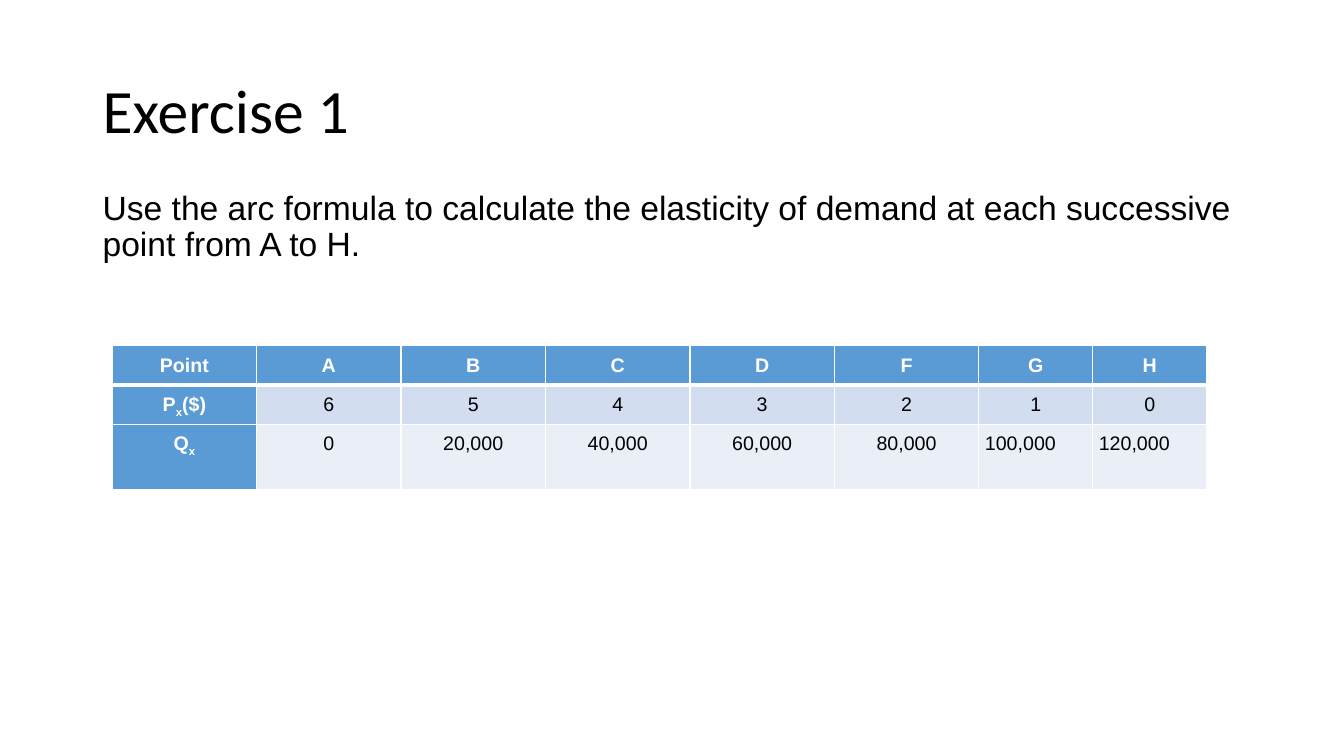
from dataclasses import dataclass

from lxml import etree
from pptx import Presentation
from pptx import util as u
from pptx.dml import color
from pptx.enum import text
from pptx.oxml import ns


@dataclass(frozen=True)
class Theme:
    title_font: str = "Calibri"
    body_font: str = "Arial"
    title_size: float = 44
    body_size: float = 24
    table_size: float = 14
    ink: str = "000000"
    white: str = "FFFFFF"
    header: str = "5B9BD5"
    bands: tuple[str, ...] = ("D2DEEF", "EAEFF7")
    thin_border: float = 1
    thick_border: float = 3


@dataclass(frozen=True)
class RunStyle:
    font: str
    size: float
    colour: str
    bold: bool = False


@dataclass(frozen=True)
class TextBlock:
    words: str
    top: float
    height: float
    style: RunStyle
    anchor: text.MSO_ANCHOR


@dataclass(frozen=True)
class DemandRow:
    label: tuple[str, ...]
    values: tuple[str, ...]
    height: float


THEME = Theme()
SUBSCRIPT = "x"
BLOCK_LEFT, BLOCK_WIDTH = 66.24, 828
TABLE_LEFT, TABLE_TOP = 80.1, 247
COLUMN_WIDTHS = [103.2] * 6 + [81.4] * 2

TEXT_BLOCKS = (
    TextBlock("Exercise 1", 28.8, 104.4,
              RunStyle(THEME.title_font, THEME.title_size, THEME.ink),
              text.MSO_ANCHOR.MIDDLE),
    TextBlock("Use the arc formula to calculate the elasticity of demand "
              "at each successive point from A to H.", 133.2, 353.5,
              RunStyle(THEME.body_font, THEME.body_size, THEME.ink),
              text.MSO_ANCHOR.TOP),
)

DEMAND_ROWS = (
    DemandRow(("Point",), ("A", "B", "C", "D", "F", "G", "H"), 28.08),
    DemandRow(("P", SUBSCRIPT, "($)"), ("6", "5", "4", "3", "2", "1", "0"), 28.08),
    DemandRow(("Q", SUBSCRIPT),
              ("0", "20,000", "40,000", "60,000", "80,000", "100,000", "120,000"), 46.8),
)


def add_run(paragraph, words: str, style: RunStyle, subscript: bool = False) -> None:
    run = paragraph.add_run()
    run.text = words
    run.font.name = style.font
    run.font.size = u.Pt(style.size)
    run.font.bold = style.bold
    run.font.color.rgb = color.RGBColor.from_string(style.colour)
    if subscript:
        run.font._element.set("baseline", "-25000")


def add_text_block(slide, block: TextBlock) -> None:
    shape = slide.shapes.add_textbox(u.Pt(BLOCK_LEFT), u.Pt(block.top),
                                     u.Pt(BLOCK_WIDTH), u.Pt(block.height))
    frame = shape.text_frame
    frame.word_wrap = True
    frame.vertical_anchor = block.anchor
    paragraph = frame.paragraphs[0]
    paragraph.line_spacing = 0.9
    add_run(paragraph, block.words, block.style)


def set_borders(cell, top: float, bottom: float) -> None:
    properties = cell._tc.get_or_add_tcPr()
    thin = THEME.thin_border
    for side, width in (("L", thin), ("R", thin), ("T", top), ("B", bottom)):
        line = etree.SubElement(properties, ns.qn(f"a:ln{side}"), w=str(u.Pt(width)))
        fill = etree.SubElement(line, ns.qn("a:solidFill"))
        etree.SubElement(fill, ns.qn("a:srgbClr"), val=THEME.white)


def fill_cell(cell, parts: tuple[str, ...], row: int, column: int) -> None:
    is_header = row == 0 or column == 0
    set_borders(cell,
                THEME.thick_border if row == 1 else THEME.thin_border,
                THEME.thick_border if row == 0 else THEME.thin_border)
    cell.fill.solid()
    fill_colour = THEME.header if is_header else THEME.bands[row - 1]
    cell.fill.fore_color.rgb = color.RGBColor.from_string(fill_colour)
    cell.margin_left = cell.margin_right = u.Pt(4.32)
    cell.margin_top, cell.margin_bottom = u.Pt(5.04), u.Pt(0)
    paragraph = cell.text_frame.paragraphs[0]
    paragraph.line_spacing = 1.07
    is_long = len(parts[0]) > len("80,000")
    paragraph.alignment = text.PP_ALIGN.LEFT if is_long else text.PP_ALIGN.CENTER
    style = RunStyle(THEME.body_font, THEME.table_size,
                     THEME.white if is_header else THEME.ink, is_header)
    for part in parts:
        add_run(paragraph, part, style, part == SUBSCRIPT)


def add_demand_table(slide) -> None:
    table = slide.shapes.add_table(
        len(DEMAND_ROWS), len(COLUMN_WIDTHS), u.Pt(TABLE_LEFT), u.Pt(TABLE_TOP),
        u.Pt(sum(COLUMN_WIDTHS)), u.Pt(sum(row.height for row in DEMAND_ROWS))).table
    table.first_col = True
    for column, width in zip(table.columns, COLUMN_WIDTHS):
        column.width = u.Pt(width)
    for row_index, row in enumerate(DEMAND_ROWS):
        table.rows[row_index].height = u.Pt(row.height)
        contents = [row.label] + [(value,) for value in row.values]
        for column_index, parts in enumerate(contents):
            fill_cell(table.cell(row_index, column_index), parts, row_index, column_index)


def main() -> None:
    presentation = Presentation()
    presentation.slide_width, presentation.slide_height = u.Pt(960), u.Pt(540)
    slide = presentation.slides.add_slide(presentation.slide_layouts[6])
    for block in TEXT_BLOCKS:
        add_text_block(slide, block)
    add_demand_table(slide)
    presentation.save("out.pptx")


if __name__ == "__main__":
    main()
